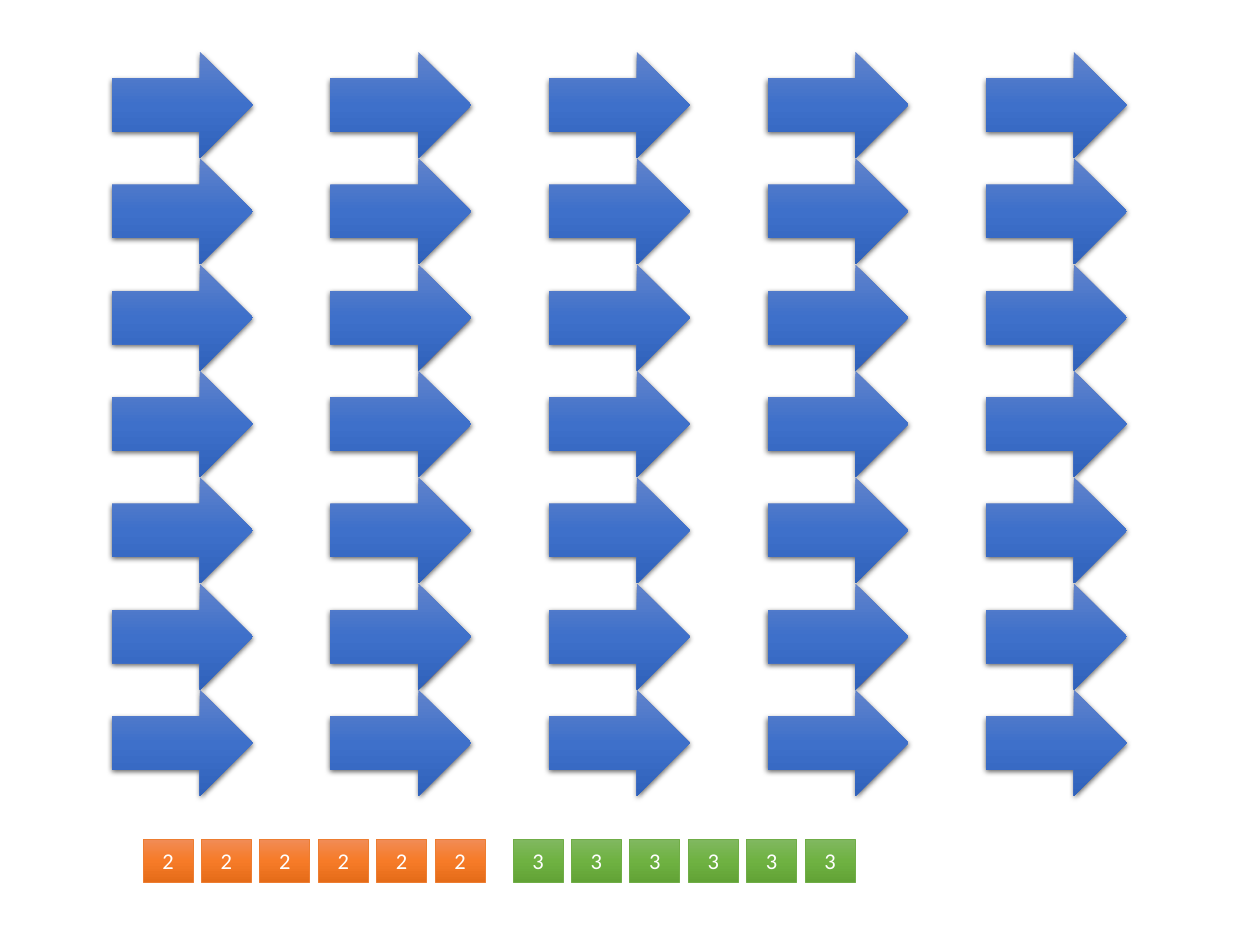
from copy import deepcopy
from dataclasses import dataclass

from lxml.etree import SubElement
from pptx import Presentation
from pptx.dml.color import RGBColor
from pptx.enum.shapes import MSO_SHAPE as Preset
from pptx.enum.text import MSO_ANCHOR as Anchor, PP_ALIGN as Align
from pptx.oxml.ns import qn
from pptx.shapes.autoshape import Shape
from pptx.slide import Slide
from pptx.util import Emu, Pt

EMU_PER_PIXEL = 914400 // 90


@dataclass(frozen=True)
class Theme:
    blue: tuple[str, ...] = ("6183CB", "3E70CA", "3062BB")
    orange: tuple[str, ...] = ("F18C57", "F67B28", "E56C19")
    green: tuple[str, ...] = ("81B861", "6FB242", "62A336")
    orange_line: str = "ED7D31"
    green_line: str = "70AD47"
    text: str = "FFFFFF"
    shadow: str = "000000"
    font: str = "Calibri"
    text_size: int = 18
    line_width: float = 0.5


@dataclass(frozen=True)
class TileRow:
    left: int
    label: str
    gradient: tuple[str, ...]
    line: str


THEME = Theme()

# Arrow grid
ARROW_COLUMNS, ARROW_ROWS = 5, 7
ARROW_LEFT, ARROW_LAST_LEFT = 112, 986
ARROW_TOP, ARROW_LAST_TOP = 52, 690
ARROW_WIDTH, ARROW_HEIGHT = 141, 106

# Number tiles
TILE_COUNT, TILE_SPAN = 6, 292
TILE_TOP, TILE_WIDTH, TILE_HEIGHT = 839, 50, 43
TILE_ROWS = (
    TileRow(143, "2", THEME.orange, THEME.orange_line),
    TileRow(513, "3", THEME.green, THEME.green_line),
)


def px(value: float) -> Emu:
    return Emu(round(value * EMU_PER_PIXEL))


def spread(first: int, last: int, count: int) -> list[float]:
    """Return evenly spaced positions from first to last."""
    return [first + (last - first) * index / (count - 1) for index in range(count)]


def add_gradient_shape(slide: Slide, preset: Preset, left: float, top: float,
                       width: int, height: int, colors: tuple[str, ...]) -> Shape:
    shape = slide.shapes.add_shape(preset, px(left), px(top), px(width), px(height))
    shape.shadow.inherit = False
    shape.fill.gradient()
    shape.fill.gradient_angle = 270
    # The default gradient has two stops; a third goes between them
    stop_list = shape._element.spPr.find(qn("a:gradFill")).find(qn("a:gsLst"))
    stop_list.insert(1, deepcopy(stop_list[0]))
    for stop, position, color in zip(shape.fill.gradient_stops, (0, 0.5, 1), colors):
        stop.position = position
        stop.color.rgb = RGBColor.from_string(color)
    return shape


def add_shadow(shape: Shape) -> None:
    effects = shape._element.spPr.find(qn("a:effectLst"))
    shadow = SubElement(effects, qn("a:outerShdw"), blurRad=str(Pt(4.5)),
                        dist=str(Pt(1.5)), dir="5400000", algn="ctr", rotWithShape="0")
    color = SubElement(shadow, qn("a:srgbClr"), val=THEME.shadow)
    SubElement(color, qn("a:alpha"), val="63000")


def add_arrow(slide: Slide, left: float, top: float) -> None:
    arrow = add_gradient_shape(slide, Preset.RIGHT_ARROW, left, top,
                               ARROW_WIDTH, ARROW_HEIGHT, THEME.blue)
    arrow.line.fill.background()
    add_shadow(arrow)


def add_tile(slide: Slide, row: TileRow, left: float) -> None:
    tile = add_gradient_shape(slide, Preset.RECTANGLE, left, TILE_TOP,
                              TILE_WIDTH, TILE_HEIGHT, row.gradient)
    tile.line.color.rgb = RGBColor.from_string(row.line)
    tile.line.width = Pt(THEME.line_width)
    tile.text_frame.text = row.label
    tile.text_frame.vertical_anchor = Anchor.MIDDLE
    paragraph = tile.text_frame.paragraphs[0]
    paragraph.alignment = Align.CENTER
    paragraph.font.name = THEME.font
    paragraph.font.size = Pt(THEME.text_size)
    paragraph.font.color.rgb = RGBColor.from_string(THEME.text)


def main() -> None:
    presentation = Presentation()
    presentation.slide_width = px(1260)
    presentation.slide_height = px(945)
    slide = presentation.slides.add_slide(presentation.slide_layouts[6])

    for top in spread(ARROW_TOP, ARROW_LAST_TOP, ARROW_ROWS):
        for left in spread(ARROW_LEFT, ARROW_LAST_LEFT, ARROW_COLUMNS):
            add_arrow(slide, left, top)

    for row in TILE_ROWS:
        for left in spread(row.left, row.left + TILE_SPAN, TILE_COUNT):
            add_tile(slide, row, left)

    presentation.save("out.pptx")


main()
